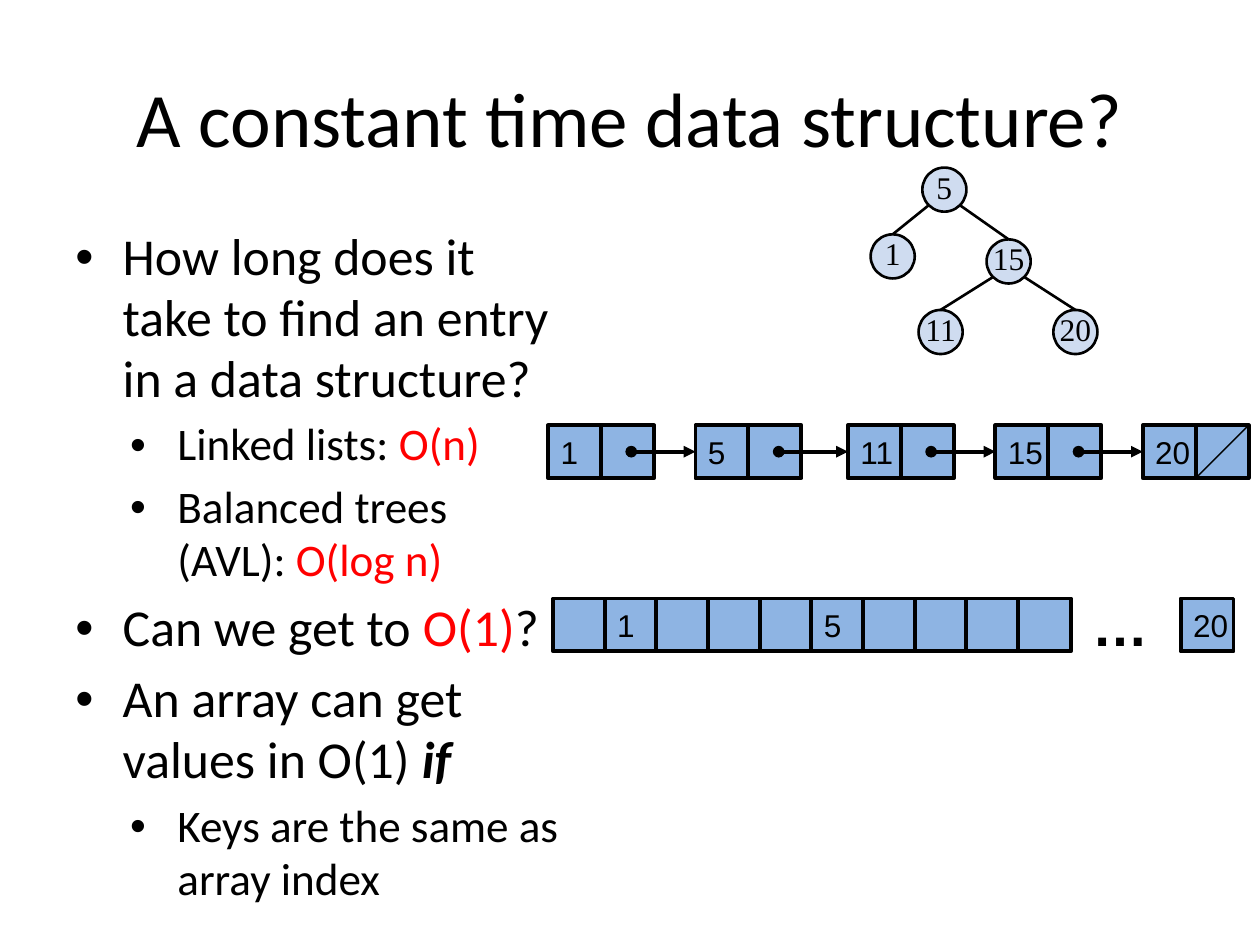
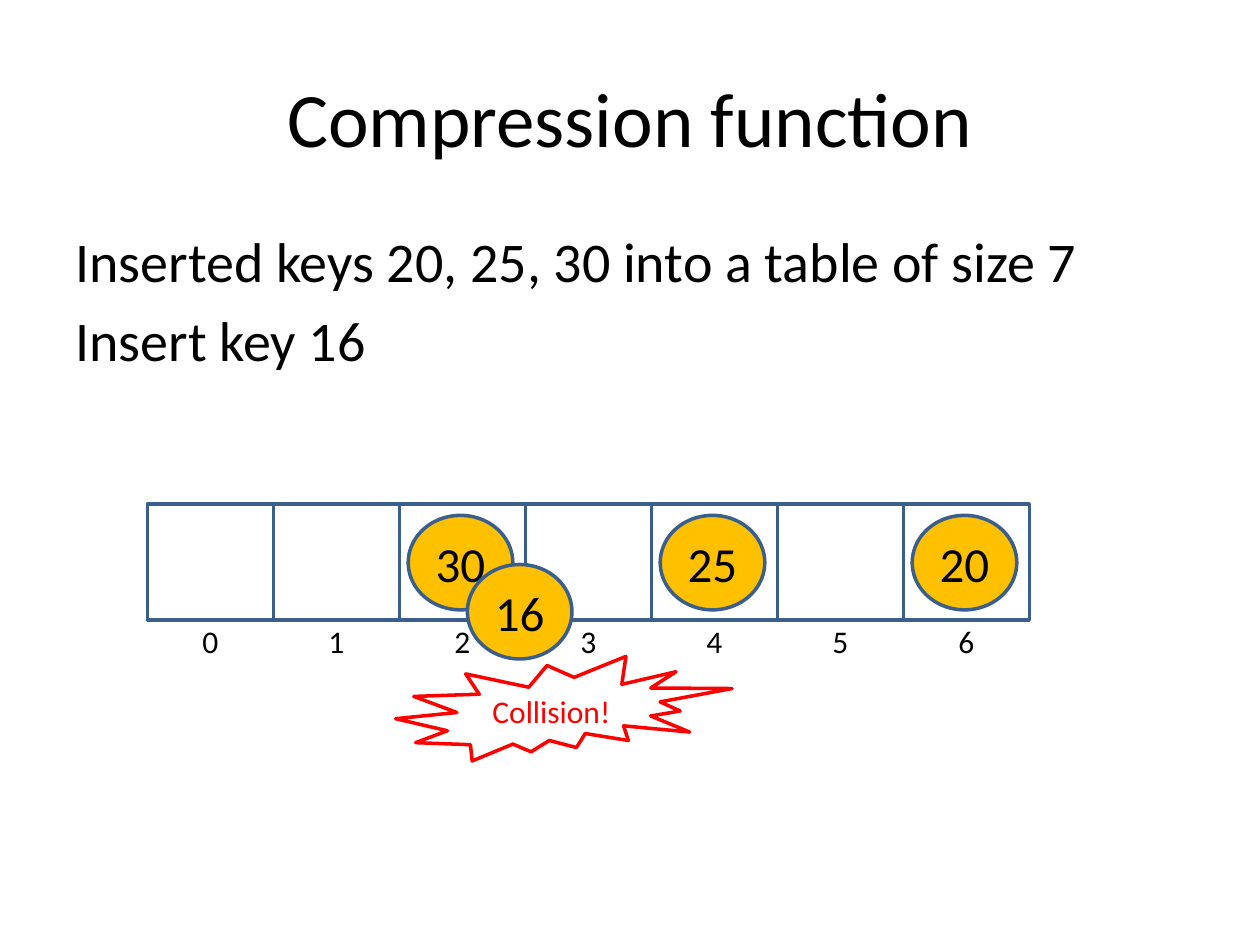
from dataclasses import dataclass
from math import sqrt
from typing import NamedTuple

from lxml import etree
from pptx import Presentation
from pptx import util as u
from pptx.dml.color import RGBColor
from pptx.enum import shapes, text
from pptx.oxml import ns

# Shared look: a grid of 100 columns by 75 rows covers the slide
WIDTH, HEIGHT = u.Inches(10), u.Inches(7.5)
COLUMN, ROW = WIDTH / 100, HEIGHT / 75
COLORS = {
    "ink": "000000", "red": "FF0000", "node": "CFDCF0",
    "cell": "8EB4E3", "slot": "3A5F8C", "key": "FFC000",
}
BODY_FONT, CELL_FONT, TREE_FONT = "Calibri", "Arial", "Times New Roman"
RECTANGLE = shapes.MSO_SHAPE.RECTANGLE
OVAL = shapes.MSO_SHAPE.OVAL
CENTER, LEFT = text.PP_ALIGN.CENTER, text.PP_ALIGN.LEFT
MIDDLE, TOP = text.MSO_ANCHOR.MIDDLE, text.MSO_ANCHOR.TOP
DEFAULT_INSETS = (1, 0.5, 1, 0.5)
NO_INSETS = (0, 0, 0, 0)


@dataclass(frozen=True)
class Box:
    left: float
    top: float
    width: float
    height: float

    def emu(self) -> tuple:
        return (int(self.left * COLUMN), int(self.top * ROW),
                int(self.width * COLUMN), int(self.height * ROW))


class Run(NamedTuple):
    words: str
    color: str = "ink"
    strong: bool = False


class Line(NamedTuple):
    runs: list
    size: float
    indent: float = 0
    hanging: float = 0
    before: float = 0
    spacing: float = 1


class TreeNode(NamedTuple):
    key: str
    left: float
    top: float
    parent: str = ""


@dataclass(frozen=True)
class Style:
    fill: str
    line: str
    weight: float


NODE = Style("node", "ink", 1.5)
CELL = Style("cell", "ink", 2.25)
SLOT = Style("", "slot", 2)
KEY = Style("key", "slot", 2)
BURST = Style("", "red", 2)


def rgb(name: str) -> RGBColor:
    return RGBColor.from_string(COLORS[name])


# Text
def write(shape, lines: list, *, font=BODY_FONT, align=LEFT, anchor=TOP,
          insets=DEFAULT_INSETS, wrap=True) -> None:
    frame = shape.text_frame
    frame.word_wrap = wrap
    frame.vertical_anchor = anchor
    frame.margin_left, frame.margin_top, frame.margin_right, frame.margin_bottom = (
        int(inset * COLUMN) for inset in insets)
    for index, line in enumerate(lines):
        paragraph = frame.add_paragraph() if index else frame.paragraphs[0]
        paragraph.alignment = align
        paragraph.space_before = u.Pt(line.before)
        paragraph.line_spacing = line.spacing
        if line.hanging:
            add_bullet(paragraph, line)
        for part in line.runs:
            run = paragraph.add_run()
            run.text = part.words
            run.font.name = font
            run.font.size = u.Pt(line.size)
            run.font.bold = part.strong
            run.font.color.rgb = rgb(part.color)


def add_bullet(paragraph, line: Line) -> None:
    properties = paragraph._p.get_or_add_pPr()
    properties.set("marL", str(int(line.indent * COLUMN)))
    properties.set("indent", str(int(-line.hanging * COLUMN)))
    etree.SubElement(properties, ns.qn("a:buFont"), typeface=CELL_FONT)
    etree.SubElement(properties, ns.qn("a:buChar"), char="•")


def add_text(slide, box: Box, lines: list, **form):
    shape = slide.shapes.add_textbox(*box.emu())
    write(shape, lines, **form)
    return shape


def add_title(slide, words: str) -> None:
    add_text(slide, Box(5, 3, 90, 12.5), [Line([Run(words)], 44)],
             align=CENTER, anchor=MIDDLE)


# Shapes and lines
def add_figure(slide, kind, box: Box, style: Style, label="", *, size=18,
               color="ink", **form):
    shape = slide.shapes.add_shape(kind, *box.emu())
    shape.shadow.inherit = False
    if style.fill:
        shape.fill.solid()
        shape.fill.fore_color.rgb = rgb(style.fill)
    else:
        shape.fill.background()
    shape.line.color.rgb = rgb(style.line)
    shape.line.width = u.Pt(style.weight)
    if label:
        write(shape, [Line([Run(label, color)], size)], anchor=MIDDLE, **form)
    return shape


def add_line(slide, start: tuple, end: tuple, weight: float, arrow=False):
    connector = slide.shapes.add_connector(
        shapes.MSO_CONNECTOR.STRAIGHT,
        int(start[0] * COLUMN), int(start[1] * ROW),
        int(end[0] * COLUMN), int(end[1] * ROW))
    connector.line.color.rgb = rgb("ink")
    connector.line.width = u.Pt(weight)
    if arrow:
        outline = connector.line._get_or_add_ln()
        etree.SubElement(outline, ns.qn("a:headEnd"), type="oval")
        etree.SubElement(outline, ns.qn("a:tailEnd"), type="triangle")
    etree.SubElement(connector._element.spPr, ns.qn("a:effectLst"))
    return connector


# Slide 1: tree, linked list and array
CELL_SIDE = 4.2
NODE_SIDE = 3.5
TREE = [
    TreeNode("5", 73.2, 13.3),
    TreeNode("1", 69.1, 18.6, "5"),
    TreeNode("15", 78.3, 19, "5"),
    TreeNode("11", 72.9, 24.6, "15"),
    TreeNode("20", 83.6, 24.6, "15"),
]
LIST_NODES = {"1": 43.5, "5": 55.2, "11": 67.3, "15": 79, "20": 90.7}
LIST_TOP = 33.75
ARRAY_LEFT, ARRAY_TOP, ARRAY_PITCH = 43.9, 47.5, 4.1
ARRAY_KEYS = ["", "1", "", "", "", "5", "", "", "", ""]


def add_cell(slide, left: float, top: float, label=""):
    return add_figure(slide, RECTANGLE, Box(left, top, CELL_SIDE, CELL_SIDE), CELL,
                      label, font=CELL_FONT, insets=(1, 0.5, 0, 0.5))


def add_tree(slide) -> None:
    places = {node.key: node for node in TREE}
    drawn = {
        node.key: add_figure(
            slide, OVAL, Box(node.left, node.top, NODE_SIDE, NODE_SIDE), NODE,
            node.key, font=TREE_FONT, align=CENTER, insets=(0, 0, 0, 0.5), wrap=False)
        for node in TREE
    }
    radius = NODE_SIDE / 2
    diagonal = radius / sqrt(2)
    for node in TREE:
        if not node.parent:
            continue
        parent = places[node.parent]
        side = diagonal if node.left > parent.left else -diagonal
        start = (parent.left + radius + side, parent.top + radius + diagonal)
        edge = add_line(slide, start, (node.left + radius, node.top), NODE.weight)
        edge.end_connect(drawn[node.key], 0)


def add_linked_list(slide) -> None:
    values = []
    for key, left in LIST_NODES.items():
        values.append(add_cell(slide, left, LIST_TOP, key))
        add_cell(slide, left + CELL_SIDE, LIST_TOP)
    lefts = list(LIST_NODES.values())
    middle = LIST_TOP + CELL_SIDE / 2
    for left, following, target in zip(lefts, lefts[1:], values[1:]):
        arrow = add_line(slide, (left + 6.6, middle), (following, middle),
                         CELL.weight, arrow=True)
        arrow.end_connect(target, 1)
    last = lefts[-1] + CELL_SIDE
    add_line(slide, (last + CELL_SIDE, LIST_TOP), (last, LIST_TOP + CELL_SIDE), 0.75)


def add_array(slide) -> None:
    for index, key in enumerate(ARRAY_KEYS):
        add_cell(slide, ARRAY_LEFT + index * ARRAY_PITCH, ARRAY_TOP, key)
    add_cell(slide, 93.7, ARRAY_TOP, "20")
    add_text(slide, Box(85.7, 46.4, 6.5, 6.4), [Line([Run("…", strong=True)], 32)],
             font=CELL_FONT, wrap=False)


def point(*runs: Run) -> Line:
    return Line(list(runs), 29.6, 3.75, 3.75, 6, 0.98)


def subpoint(*runs: Run) -> Line:
    return Line(list(runs), 25.8, 8.1, 3.75, 5.2, 0.98)


def build_structures(slide) -> None:
    add_title(slide, "A constant time data structure?")
    lines = [
        point(Run("How long does it take to find an entry in a data structure?")),
        subpoint(Run("Linked lists: "), Run("O(n)", "red")),
        subpoint(Run("Balanced trees (AVL): "), Run("O(log n)", "red")),
        point(Run("Can we get to "), Run("O(1)", "red"), Run("?")),
        point(Run("An array can get values in O(1) "), Run("if", strong=True)),
        subpoint(Run("Keys are the same as array index")),
    ]
    body = add_text(slide, Box(5, 17.5, 40.8, 47.5), lines)
    body.text_frame.paragraphs[4].runs[-1].font.italic = True
    add_tree(slide)
    add_linked_list(slide)
    add_array(slide)


# Slide 2: hash table with a collision
SLOT_COUNT = 7
TABLE_LEFT, TABLE_TOP, SLOT_WIDTH, SLOT_HEIGHT = 11.7, 40, 10, 9.2
STORED_KEYS = (20, 25, 30)


def add_key(slide, key: int, left: float, top: float) -> None:
    add_figure(slide, OVAL, Box(left, top, 8.3, 7.5), KEY, str(key), size=28,
               align=CENTER, insets=NO_INSETS)


def build_compression(slide) -> None:
    add_title(slide, "Compression function")
    sentences = ("Inserted keys 20, 25, 30 into a table of size 7", "Insert key 16")
    add_text(slide, Box(5, 17.5, 90, 49.5),
             [Line([Run(sentence)], 32, before=6.4) for sentence in sentences])
    lefts = [TABLE_LEFT + index * SLOT_WIDTH for index in range(SLOT_COUNT)]
    for index, left in enumerate(lefts):
        add_figure(slide, RECTANGLE, Box(left, TABLE_TOP, SLOT_WIDTH, SLOT_HEIGHT), SLOT)
        add_text(slide, Box(left, 49.3, SLOT_WIDTH, 3.2),
                 [Line([Run(str(index))], 18)], align=CENTER, anchor=MIDDLE)
    for key in STORED_KEYS:
        add_key(slide, key, lefts[key % SLOT_COUNT] + 0.7, TABLE_TOP + 0.9)
    add_key(slide, 16, 37.1, 44.8)
    add_figure(slide, shapes.MSO_SHAPE.EXPLOSION2, Box(31.4, 52.1, 26.7, 8.3), BURST,
               "Collision!", color="red", align=CENTER)


def main() -> None:
    presentation = Presentation()
    presentation.slide_width, presentation.slide_height = WIDTH, HEIGHT
    blank = presentation.slide_layouts[6]
    for build in (build_structures, build_compression):
        build(presentation.slides.add_slide(blank))
    presentation.save("out.pptx")


if __name__ == "__main__":
    main()
